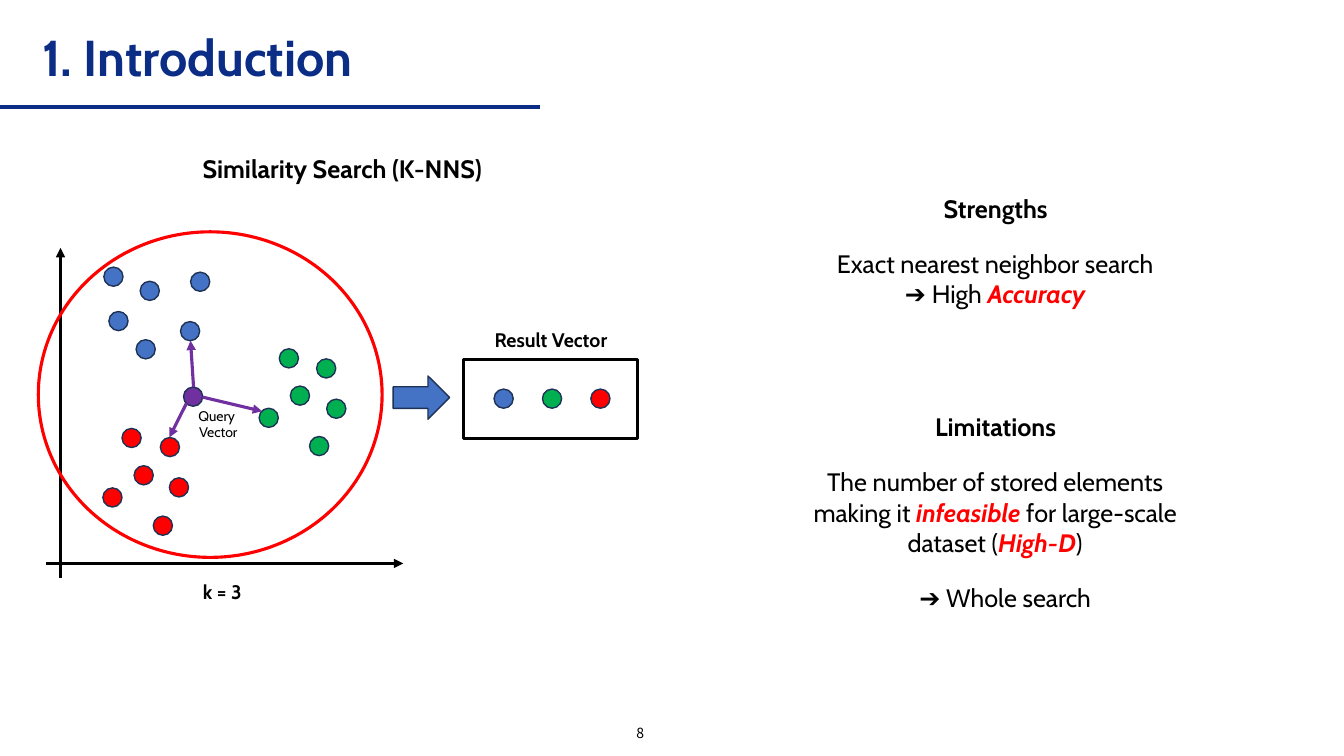
from lxml.etree import SubElement
from pptx import Presentation
from pptx.dml.color import RGBColor
from pptx.enum.shapes import MSO_CONNECTOR, MSO_SHAPE
from pptx.enum.text import MSO_ANCHOR, PP_ALIGN
from pptx.oxml.ns import qn
from pptx.util import Pt

PX = 9144  # EMU in one px, 100 px to the inch
NAVY = RGBColor(0x0B, 0x2D, 0x86)
BLACK = RGBColor(0, 0, 0)
WHITE = RGBColor(0xFF, 0xFF, 0xFF)
BLUE = RGBColor(0x44, 0x72, 0xC4)
GREEN = RGBColor(0, 0xB0, 0x50)
RED = RGBColor(0xFF, 0, 0)
PURPLE = RGBColor(0x70, 0x30, 0xA0)
EDGE = RGBColor(0x1E, 0x32, 0x56)
FONT = "Cabin"
DOT = 19


def add_text(slide, box, lines, size=18, bold=False, color=BLACK,
             font=FONT, align=PP_ALIGN.CENTER, anchor=MSO_ANCHOR.TOP):
    """Each line is a list of runs; a run in a tuple is a red key word."""
    frame = slide.shapes.add_textbox(*[v * PX for v in box]).text_frame
    frame.word_wrap = True
    frame.vertical_anchor = anchor
    for i, line in enumerate(lines):
        para = frame.paragraphs[0] if i == 0 else frame.add_paragraph()
        para.alignment = align
        para.font.name = font
        para.font.size = Pt(size)
        para.font.bold = bold
        para.font.color.rgb = color
        for part in line:
            run = para.add_run()
            if isinstance(part, tuple):
                run.text = part[0]
                run.font.bold = run.font.italic = True
                run.font.color.rgb = RED
            else:
                run.text = part
    return frame


def add_form(slide, kind, box, fill, edge=EDGE, width=1):
    form = slide.shapes.add_shape(kind, *[v * PX for v in box])
    form.shadow.inherit = False
    if fill is None:
        form.fill.background()
    else:
        form.fill.solid()
        form.fill.fore_color.rgb = fill
    form.line.color.rgb = edge
    form.line.width = Pt(width)


def add_dot(slide, x, y, color):
    add_form(slide, MSO_SHAPE.OVAL, (x, y, DOT, DOT), color)


def add_line(slide, start, end, color, width=2.25, arrow=True):
    line = slide.shapes.add_connector(
        MSO_CONNECTOR.STRAIGHT, *[v * PX for v in start + end])
    line.line.color.rgb = color
    line.line.width = Pt(width)
    if arrow:
        SubElement(line.line._get_or_add_ln(), qn("a:tailEnd"), type="triangle")
    SubElement(line._element.spPr, qn("a:effectLst"))


def add_head(slide, x, y, w, h):
    # Title over its rule
    add_line(slide, (x, y + h), (x + w, y + h), NAVY, 3, False)
    frame = add_text(slide, (x + 32, y + 14, 971, 91), [["1. Introduction"]],
                     36, True, NAVY, align=PP_ALIGN.LEFT,
                     anchor=MSO_ANCHOR.MIDDLE)
    frame.paragraphs[0].line_spacing = 0.9


def add_plot(slide, x, y, w, h):
    # Axes
    add_line(slide, (x + 14, y + h), (x + 14, y), BLACK)
    add_line(slide, (x, y + h - 14), (x + w, y + h - 14), BLACK)

    # Vector clusters
    groups = {
        BLUE: [(57, 19), (62, 63), (93, 33), (89, 91), (143, 24), (133, 73)],
        GREEN: [(231, 100), (268, 110), (242, 137), (278, 150), (211, 159),
                (261, 187)],
        RED: [(75, 179), (113, 188), (87, 216), (122, 228), (56, 238),
              (106, 266)],
        PURPLE: [(136, 138)],
    }
    for color, spots in groups.items():
        for dx, dy in spots:
            add_dot(slide, x + dx, y + dy, color)

    # Labels
    add_text(slide, (x + 124, y + 153, 93, 44), [["Query "], ["Vector"]], 10)
    add_text(slide, (x + 128, y + h - 3, 93, 34), [["k = 3"]], 14, True)

    # Query to nearest neighbors
    for (ax, ay), (bx, by) in [((146, 138), (143, 92)),
                               ((155, 148), (214, 162)),
                               ((139, 154), (122, 188))]:
        add_line(slide, (x + ax, y + ay), (x + bx, y + by), PURPLE)


def add_result(slide, x, y, w, h):
    # Frame, caption and the three found vectors
    add_form(slide, MSO_SHAPE.RECTANGLE, (x, y, w, h), WHITE, BLACK, 2.25)
    add_text(slide, (x - 10, y - 37, w + 21, 34), [["Result Vector"]], 14, True)
    for i, color in enumerate((BLUE, GREEN, RED)):
        add_dot(slide, x + 30 + 48 * i, y + 29, color)
    # Arrow from the plot
    add_form(slide, MSO_SHAPE.RIGHT_ARROW, (x - 70, y + 16, 56, 43), BLUE)


def add_search(slide, x, y, w, h):
    add_text(slide, (x + 48, y, 507, 40), [["Similarity Search (K-NNS)"]],
             bold=True)
    add_plot(slide, x + 8, y + 99, 354, 327)
    add_result(slide, x + w - 172, y + 210, 172, 78)
    # Search range
    add_form(slide, MSO_SHAPE.OVAL, (x, y + 83, 341, h - 83), None, RED, 2.25)


def add_points(slide, x, y, w, h):
    # Strengths
    add_text(slide, (x, y, w, 40), [["Strengths"]], bold=True)
    add_text(slide, (x + 73, y + 54, 360, 71),
             [["Exact nearest neighbor search"], ["➔ High ", ("Accuracy",)]])
    # Limitations
    add_text(slide, (x, y + 216, w, 40), [["Limitations"]], bold=True)
    add_text(slide, (x + 41, y + 271, 424, 101),
             [["The number of stored elements making it ", ("infeasible",),
               " for large-scale dataset (", ("High-D",), ")"]])
    add_text(slide, (x + 51, y + h - 40, 424, 40), [["➔ Whole search"]])


def main():
    deck = Presentation()
    deck.slide_width = 1333 * PX
    deck.slide_height = 750 * PX
    slide = deck.slides.add_slide(deck.slide_layouts[6])
    add_head(slide, 0, 0, 536, 106)
    add_search(slide, 38, 147, 594, 406)
    add_points(slide, 734, 187, 507, 426)
    # Page number
    add_text(slide, (485, 711, 300, 32), [["8"]], 10,
             font="Noto Sans CJK KR", anchor=MSO_ANCHOR.MIDDLE)
    deck.save("out.pptx")


if __name__ == "__main__":
    main()
